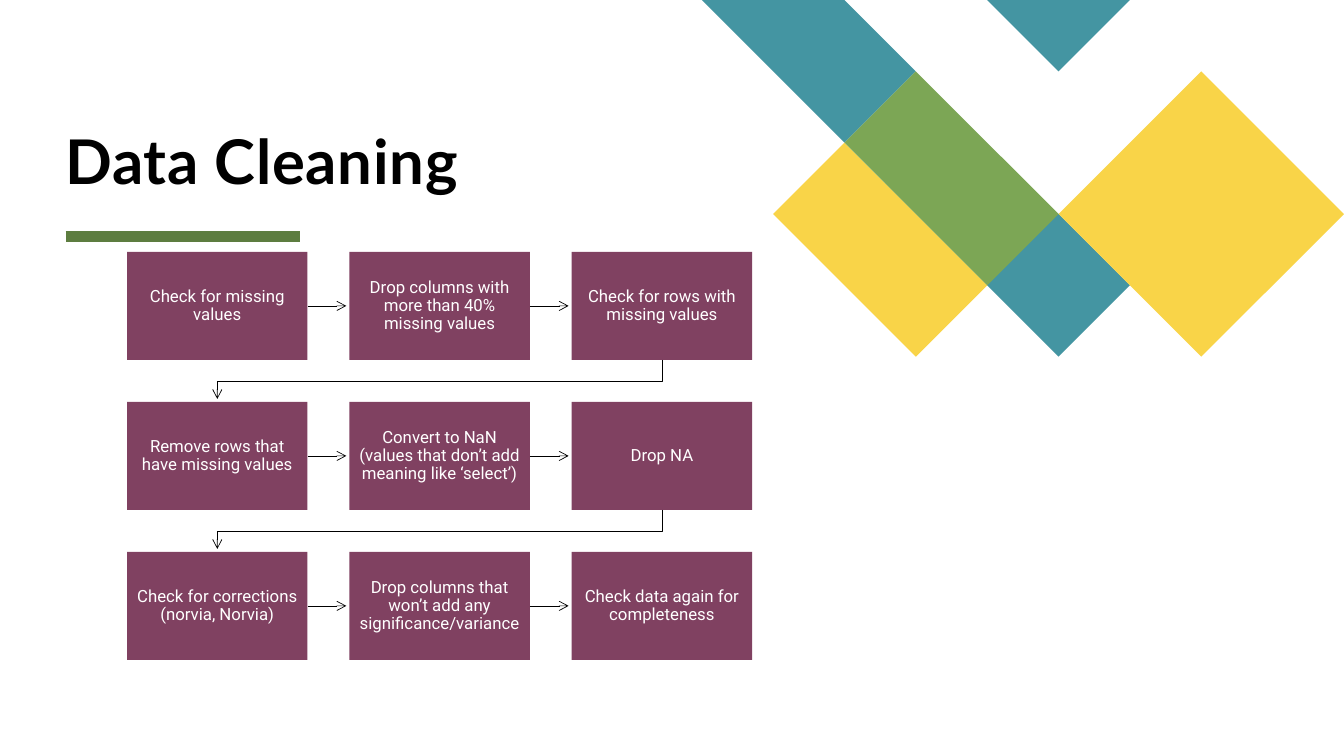
from lxml.etree import SubElement
from pptx import Presentation
from pptx.dml.color import RGBColor
from pptx.enum.shapes import MSO_CONNECTOR as Connector, MSO_SHAPE as Shape
from pptx.enum.text import MSO_ANCHOR as Anchor, PP_ALIGN as Align
from pptx.oxml.ns import qn
from pptx.util import Inches, Pt

COLOURS = {
    "teal": "4495A2", "yellow": "F9D448", "green": "7CA655",
    "rule": "5D7D40", "plum": "804161", "black": "000000", "white": "FFFFFF",
}

# Decoration corners as (column, row) on a square lattice
LATTICE_LEFT = 6.96
LATTICE_STEP = (13.33 - LATTICE_LEFT) / 9
TILES = [
    ("teal", [(0, 0), (2, 0), (3, 1), (2, 2)]),
    ("teal", [(5, 3), (6, 4), (5, 5), (4, 4)]),
    ("yellow", [(2, 2), (1, 3), (3, 5), (4, 4)]),
    ("teal", [(4, 0), (6, 0), (5, 1)]),
    ("green", [(3, 1), (2, 2), (4, 4), (5, 3)]),
    ("yellow", [(7, 1), (9, 3), (7, 5), (5, 3)]),
]

STEPS = [
    ["Check for missing values",
     "Drop columns with more than 40% missing values",
     "Check for rows with missing values"],
    ["Remove rows that have missing values",
     "Convert to NaN (values that don’t add meaning like ‘select’)",
     "Drop NA"],
    ["Check for corrections (norvia, Norvia)",
     "Drop columns that won’t add any significance/variance",
     "Check data again for completeness"],
]
FLOW_LEFT, FLOW_TOP = 1.26, 2.5
STEP_WIDTH, STEP_HEIGHT = 1.79, 1.07
PITCH_X, PITCH_Y = 2.205, 1.488
ARROW_GAP = 0.03

TITLE_FONT = {"name": "Lato", "size": Pt(44), "bold": True}
STEP_FONT = {"name": "Roboto", "size": Pt(12), "bold": False}


def colour(name):
    return RGBColor.from_string(COLOURS[name])


def write(box, text, font, ink, margin, **layout):
    """Fill a shape's text frame with one formatted paragraph."""
    frame = box.text_frame
    frame.word_wrap = True
    for side in ("left", "right", "top", "bottom"):
        setattr(frame, f"margin_{side}", Inches(margin))
    frame.vertical_anchor = layout.pop("anchor")
    para = frame.paragraphs[0]
    for key, value in layout.items():
        setattr(para, key, value)
    span = para.add_run()
    span.text = text
    for key, value in font.items():
        setattr(span.font, key, value)
    span.font.color.rgb = colour(ink)
    return span


def add_outline(page, points, closed):
    corners = [(Inches(x), Inches(y)) for x, y in points]
    builder = page.shapes.build_freeform(*corners[0], scale=1.0)
    builder.add_line_segments(corners[1:], close=closed)
    outline = builder.convert_to_shape()
    outline.shadow.inherit = False
    return outline


def add_tile(page, fill, cells):
    points = [(LATTICE_LEFT + column * LATTICE_STEP, row * LATTICE_STEP)
              for column, row in cells]
    tile = add_outline(page, points, closed=True)
    tile.fill.solid()
    tile.fill.fore_color.rgb = colour(fill)
    tile.line.fill.background()


def add_line(page, start, end, ink, width):
    line = page.shapes.add_connector(
        Connector.STRAIGHT, *(Inches(value) for value in (*start, *end)))
    SubElement(line._element.spPr, qn("a:effectLst"))
    line.line.color.rgb = colour(ink)
    line.line.width = Pt(width)
    return line


def add_arrowhead(line):
    SubElement(line.line._get_or_add_ln(), qn("a:tailEnd"), type="arrow")


def add_title(page, text):
    box = page.shapes.add_textbox(
        Inches(0.65), Inches(0.21), Inches(7.42), Inches(1.74))
    span = write(box, text, TITLE_FONT, "black", 0,
                 anchor=Anchor.BOTTOM, line_spacing=0.8)
    span._r.get_or_add_rPr().set("spc", "50")


def add_step(page, left, top, text):
    box = page.shapes.add_shape(
        Shape.RECTANGLE, Inches(left), Inches(top),
        Inches(STEP_WIDTH), Inches(STEP_HEIGHT))
    box.shadow.inherit = False
    box.fill.solid()
    box.fill.fore_color.rgb = colour("plum")
    box.line.fill.background()
    write(box, text, STEP_FONT, "white", 0.09, anchor=Anchor.MIDDLE,
          alignment=Align.CENTER, line_spacing=0.9)


def add_next_arrow(page, left, top):
    """Point from the step at left, top to its right neighbour."""
    middle = top + STEP_HEIGHT / 2
    arrow = add_line(page, (left + STEP_WIDTH, middle),
                     (left + PITCH_X - ARROW_GAP, middle), "black", 0.5)
    add_arrowhead(arrow)


def add_return_arrow(page, left, top):
    """Lead from the last step of a row to the first of the next."""
    start_x = left + STEP_WIDTH / 2
    end_x = FLOW_LEFT + STEP_WIDTH / 2
    bottom, next_top = top + STEP_HEIGHT, top + PITCH_Y
    middle = (bottom + next_top) / 2
    arrow = add_outline(page, [
        (start_x, bottom), (start_x, middle),
        (end_x, middle), (end_x, next_top - ARROW_GAP)], closed=False)
    arrow.fill.background()
    arrow.line.color.rgb = colour("black")
    arrow.line.width = Pt(0.5)
    add_arrowhead(arrow)


def add_flow(page):
    for row, texts in enumerate(STEPS):
        top = FLOW_TOP + row * PITCH_Y
        for column, text in enumerate(texts):
            left = FLOW_LEFT + column * PITCH_X
            add_step(page, left, top, text)
            if column < len(texts) - 1:
                add_next_arrow(page, left, top)
            elif row < len(STEPS) - 1:
                add_return_arrow(page, left, top)


def main():
    deck = Presentation()
    deck.slide_width, deck.slide_height = Inches(13.33), Inches(7.5)
    page = deck.slides.add_slide(deck.slide_layouts[6])
    for fill, cells in TILES:
        add_tile(page, fill, cells)
    add_line(page, (0.65, 2.35), (2.98, 2.35), "rule", 8)
    add_title(page, "Data Cleaning")
    add_flow(page)
    deck.save("out.pptx")


if __name__ == "__main__":
    main()
